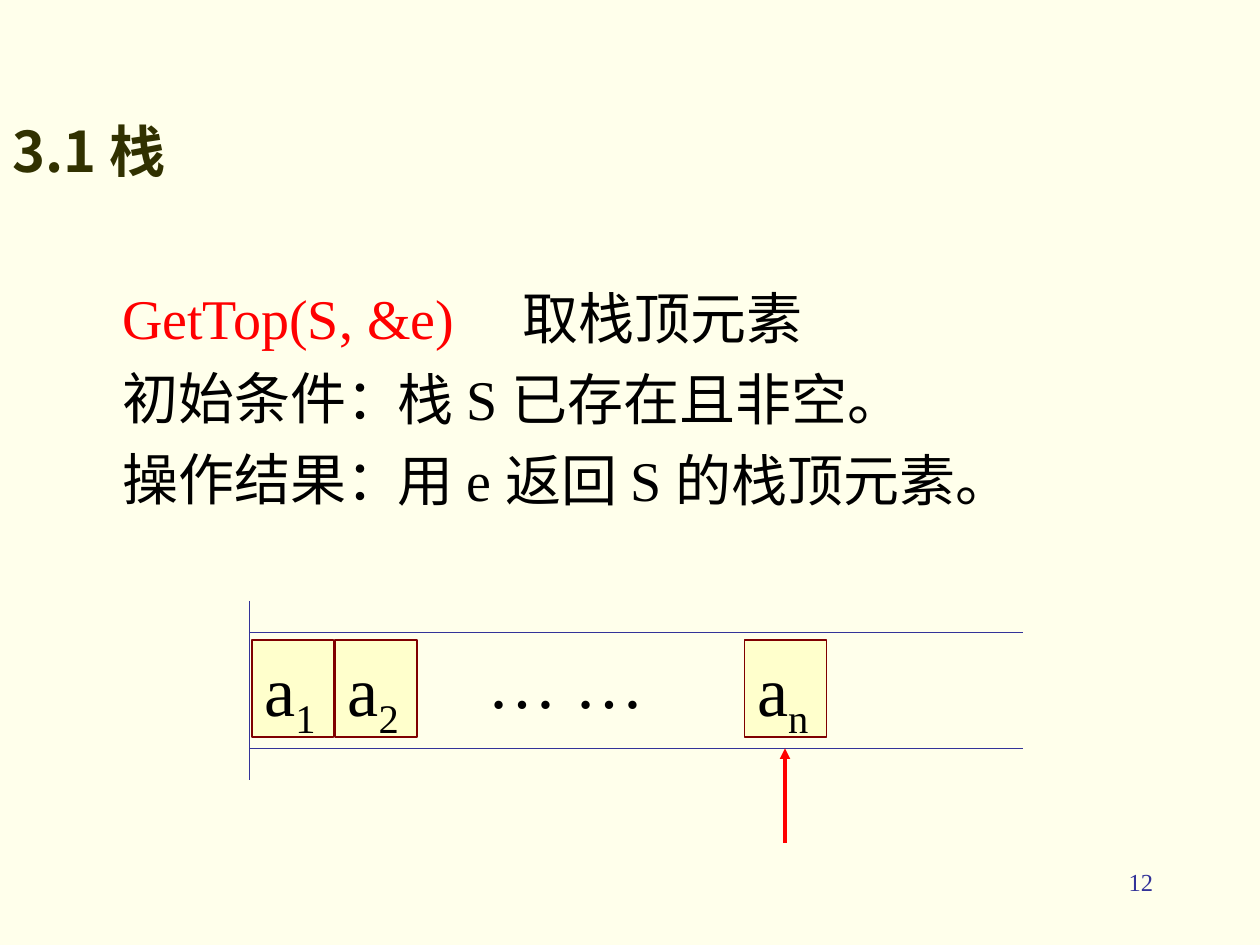
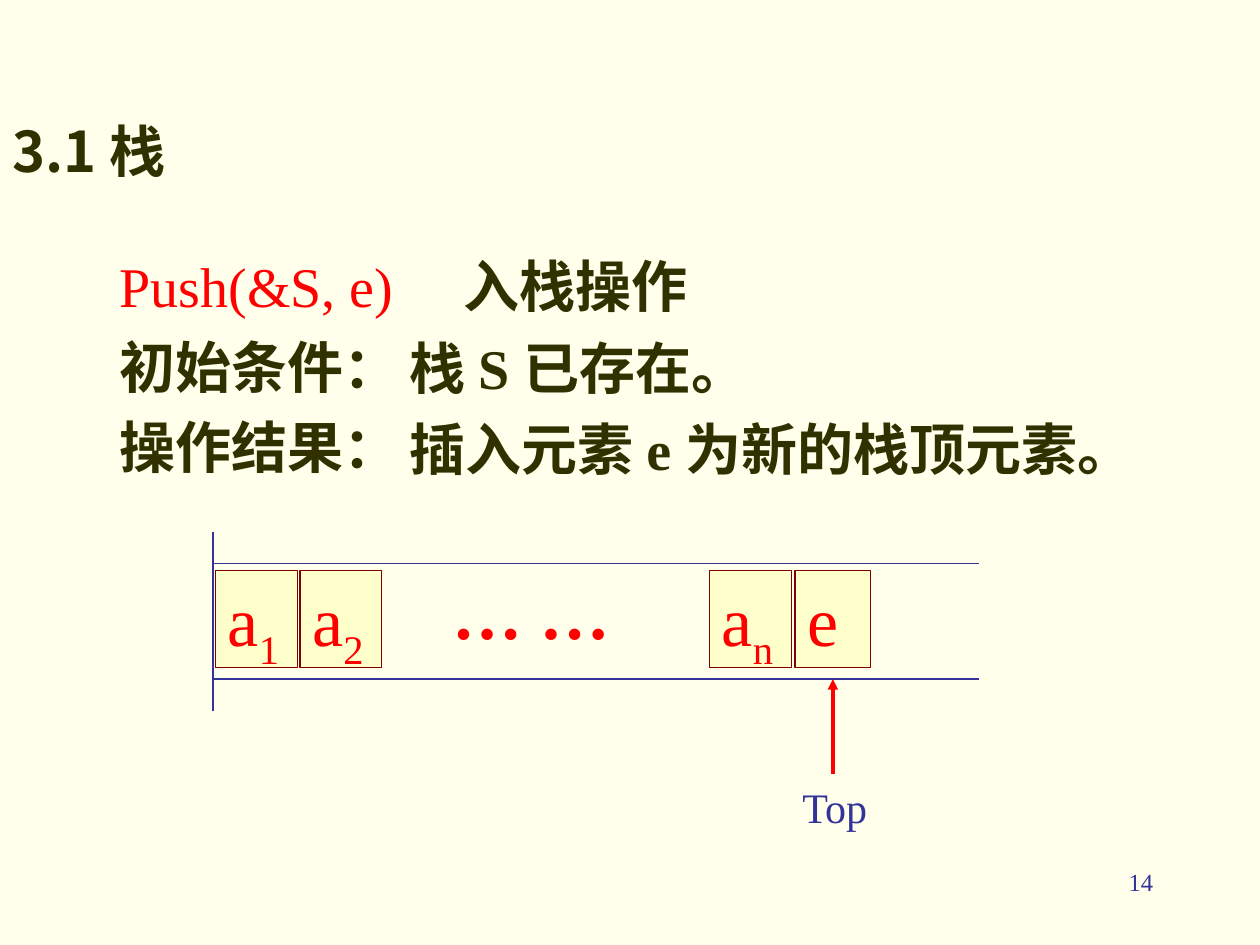
"""Build two slides on the stack operations GetTop and Push."""
from dataclasses import dataclass

import lxml.etree
import pptx
import pptx.dml.color
import pptx.enum.shapes
import pptx.enum.text
import pptx.oxml.ns
import pptx.util

Inches = pptx.util.Inches
Align = pptx.enum.text.PP_ALIGN
Anchor = pptx.enum.text.MSO_ANCHOR
AutoSize = pptx.enum.text.MSO_AUTO_SIZE

LATIN, CHINESE = "Times New Roman", "Noto Sans CJK SC"
CREAM, CELL_FILL, CELL_EDGE = "FFFFEB", "FFFFCC", "800000"
RED, BLUE, OLIVE, BLACK = "FF0000", "333399", "313100", "000000"

RAIL_OFFSETS = (0.25, 1.17)
WALL_HEIGHT = 1.42
CELL_OFFSET = 0.31
ARROW_LENGTH = 0.75


@dataclass(frozen=True)
class Box:
    left: float
    top: float
    width: float
    height: float

    def lengths(self) -> tuple:
        return tuple(Inches(value) for value in (self.left, self.top, self.width, self.height))


@dataclass(frozen=True)
class TextStyle:
    size: int
    color: str
    bold: bool = False
    name: str = LATIN
    align: Align = Align.LEFT
    spacing: float = 1.0


@dataclass(frozen=True)
class Cell:
    offset: float
    letter: str
    index: str = ""
    width: float = 0.65


@dataclass(frozen=True)
class Stack:
    left: float
    top: float
    length: float
    cells: tuple[Cell, ...]
    dots_offset: float
    pointer_offset: float
    style: TextStyle
    dots_bold: bool = False


@dataclass(frozen=True)
class Operation:
    number: str
    call: str
    labels: tuple[str, ...]
    label_box: Box
    tab: float
    details: tuple[str, ...]
    detail_box: Box
    style: TextStyle
    stack: Stack
    pointer_box: Box | None = None


def rgb(color: str) -> pptx.dml.color.RGBColor:
    return pptx.dml.color.RGBColor.from_string(color)


def add_element(parent, tag: str, **attributes: str):
    element = lxml.etree.SubElement(parent, pptx.oxml.ns.qn(tag))
    for key, value in attributes.items():
        element.set(key, value)
    return element


def format_paragraph(paragraph, style: TextStyle) -> None:
    paragraph.alignment = style.align
    paragraph.line_spacing = style.spacing
    font = paragraph.font
    font.size = pptx.util.Pt(style.size)
    font.bold = style.bold
    font.name = style.name
    font.color.rgb = rgb(style.color)
    add_element(paragraph._p.pPr.find(pptx.oxml.ns.qn("a:defRPr")), "a:ea", typeface=CHINESE)


def add_lines(paragraph, lines: tuple[str, ...]) -> None:
    for position, line in enumerate(lines):
        if position:
            paragraph.add_line_break()
        paragraph.add_run().text = line


def add_text(slide, box: Box, lines: tuple[str, ...], style: TextStyle,
             anchor: Anchor = Anchor.TOP, wrap: bool = True) -> None:
    frame = slide.shapes.add_textbox(*box.lengths()).text_frame
    frame.word_wrap = wrap
    frame.vertical_anchor = anchor
    format_paragraph(frame.paragraphs[0], style)
    add_lines(frame.paragraphs[0], lines)


def add_line(slide, start: tuple[float, float], end: tuple[float, float],
             color: str = BLUE, width: float = 0.75, arrow: bool = False) -> None:
    line = slide.shapes.add_connector(
        pptx.enum.shapes.MSO_CONNECTOR.STRAIGHT, *(Inches(value) for value in start + end))
    line.line.color.rgb = rgb(color)
    line.line.width = pptx.util.Pt(width)
    if arrow:
        add_element(line.line._get_or_add_ln(), "a:tailEnd", type="triangle")
    add_element(line._element.spPr, "a:effectLst")


def add_cell(slide, stack: Stack, cell: Cell) -> None:
    box = Box(stack.left + cell.offset, stack.top + CELL_OFFSET, cell.width, 0.77)
    shape = slide.shapes.add_shape(pptx.enum.shapes.MSO_SHAPE.RECTANGLE, *box.lengths())
    shape.shadow.inherit = False
    shape.fill.solid()
    shape.fill.fore_color.rgb = rgb(CELL_FILL)
    shape.line.color.rgb = rgb(CELL_EDGE)
    shape.line.width = pptx.util.Pt(0.75)
    frame = shape.text_frame
    frame.word_wrap = False
    frame.vertical_anchor = Anchor.TOP
    paragraph = frame.paragraphs[0]
    format_paragraph(paragraph, stack.style)
    paragraph.add_run().text = cell.letter
    if cell.index:
        subscript = paragraph.add_run()
        subscript.text = cell.index
        subscript._r.get_or_add_rPr().set("baseline", "-25000")
    for run in paragraph.runs:
        run.font.color.rgb = rgb(stack.style.color)


def add_stack(slide, stack: Stack) -> None:
    left, top = stack.left, stack.top
    add_line(slide, (left, top), (left, top + WALL_HEIGHT))
    for offset in RAIL_OFFSETS:
        add_line(slide, (left, top + offset), (left + stack.length, top + offset))
    for cell in stack.cells:
        add_cell(slide, stack, cell)
    pointer, tip = left + stack.pointer_offset, top + RAIL_OFFSETS[1]
    add_line(slide, (pointer, tip + ARROW_LENGTH), (pointer, tip), RED, 2, arrow=True)
    dots_style = TextStyle(stack.style.size, stack.style.color, stack.dots_bold)
    dots_box = Box(left + stack.dots_offset, top + RAIL_OFFSETS[0], 1.45, 0.77)
    add_text(slide, dots_box, ("… …",), dots_style, wrap=False)


def fill_title(slide, operation: Operation) -> None:
    title = slide.shapes.title
    title.left, title.top, title.width, title.height = operation.label_box.lengths()
    frame = title.text_frame
    frame.auto_size = AutoSize.NONE
    frame.vertical_anchor = Anchor.MIDDLE
    paragraph = frame.paragraphs[0]
    paragraph.line_spacing = operation.style.spacing
    tabs = add_element(paragraph._p.get_or_add_pPr(), "a:tabLst")
    add_element(tabs, "a:tab", pos=str(Inches(operation.tab)), algn="l")
    format_paragraph(paragraph, operation.style)
    call = paragraph.add_run()
    call.text = operation.call + "\t"
    call.font.color.rgb = rgb(RED)
    call.font.bold = False
    add_lines(paragraph, operation.labels)


def add_operation(presentation, operation: Operation) -> None:
    slide = presentation.slides.add_slide(presentation.slide_layouts.get_by_name("Title Only"))
    add_text(slide, Box(7.17, 6.83, 2.08, 0.5), (operation.number,),
             TextStyle(14, BLUE, align=Align.RIGHT))
    fill_title(slide, operation)
    add_stack(slide, operation.stack)
    add_text(slide, operation.detail_box, operation.details, operation.style, Anchor.MIDDLE)
    if operation.pointer_box:
        add_text(slide, operation.pointer_box, ("Top",), TextStyle(24, BLUE))
    add_text(slide, Box(0, 0.83, 6.94, 0.73), ("3.1 栈",),
             TextStyle(32, OLIVE, True, CHINESE), Anchor.MIDDLE)


OPERATIONS = (
    Operation(
        "12", "GetTop(S, &e)", ("取栈顶元素", "初始条件：", "操作结果："),
        Box(0.87, 1.85, 6.84, 2.5), 3.18,
        ("栈 S 已存在且非空。", "用 e 返回 S 的栈顶元素。"), Box(3.06, 2.47, 6.66, 1.91),
        TextStyle(32, BLACK, spacing=1.2),
        Stack(1.98, 4.77, 6.14,
              (Cell(0.02, "a", "1"), Cell(0.68, "a", "2"), Cell(3.93, "a", "n")),
              1.79, 4.25, TextStyle(40, BLACK))),
    Operation(
        "14", "Push(&S, e)", ("入栈操作", "初始条件：", "操作结果："),
        Box(0.85, 1.39, 8.42, 2.92), 2.73,
        ("栈 S 已存在。", "插入元素 e 为新的栈顶元素。"), Box(3.15, 2.19, 6.4, 1.98),
        TextStyle(32, OLIVE, True, spacing=1.2),
        Stack(1.69, 4.22, 6.08,
              (Cell(0.02, "a", "1"), Cell(0.69, "a", "2"), Cell(3.94, "a", "n"),
               Cell(4.62, "e", width=0.6)),
              1.8, 4.92, TextStyle(40, RED), dots_bold=True),
        Box(6.27, 6.15, 1.03, 0.5)),
)


def main() -> None:
    presentation = pptx.Presentation()
    presentation.slide_width, presentation.slide_height = Inches(10), Inches(7.5)
    background = presentation.slide_master.background.fill
    background.solid()
    background.fore_color.rgb = rgb(CREAM)
    for operation in OPERATIONS:
        add_operation(presentation, operation)
    presentation.save("out.pptx")


if __name__ == "__main__":
    main()
